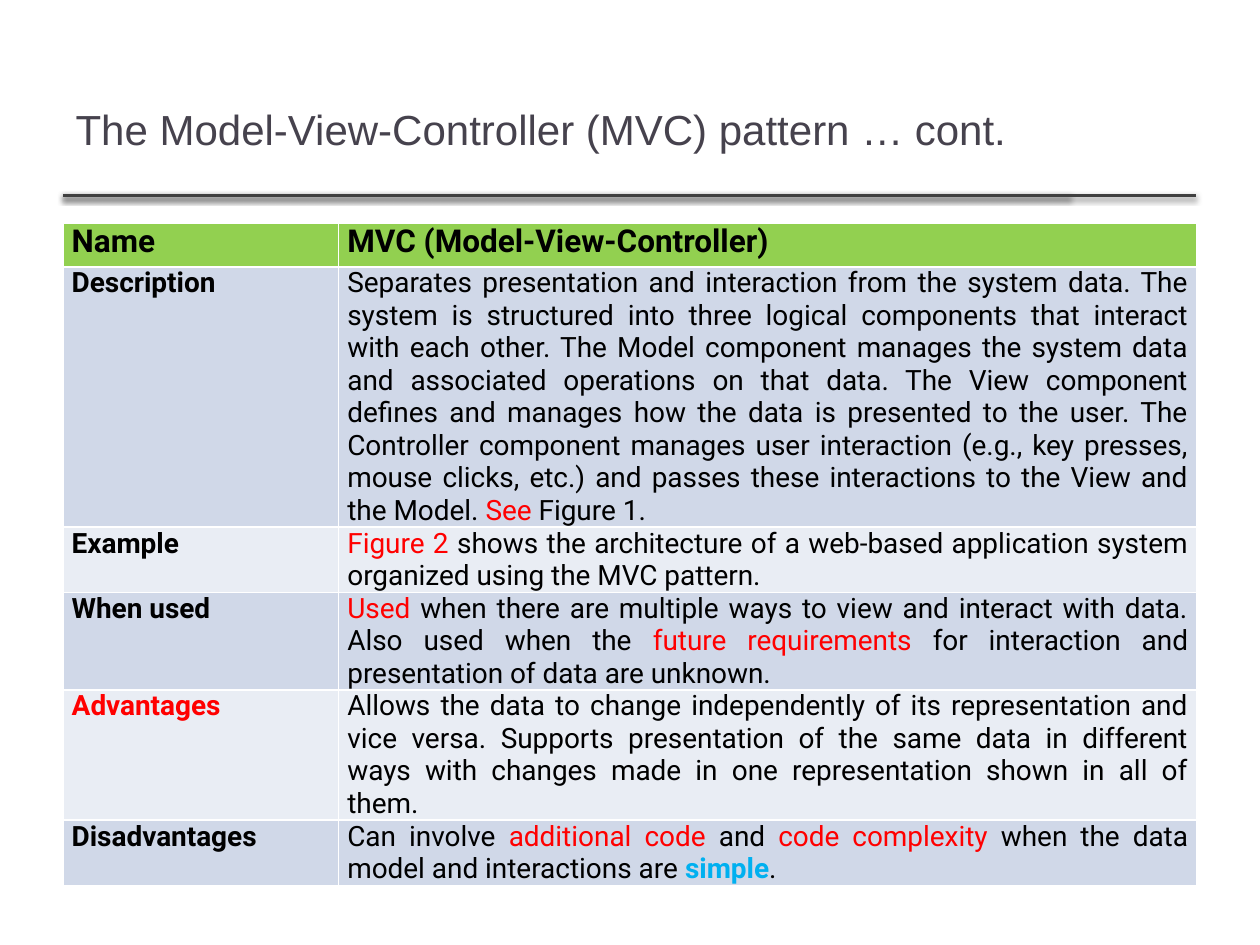
"""Build a slide with a table describing the Model-View-Controller pattern."""
from typing import NamedTuple

from lxml.etree import SubElement
from pptx import Presentation
from pptx.dml.color import RGBColor
from pptx.enum.shapes import MSO_CONNECTOR
from pptx.enum.text import MSO_ANCHOR, MSO_AUTO_SIZE, PP_ALIGN
from pptx.oxml.ns import qn
from pptx.util import Pt

COLORS = {
    "title": "46424D",
    "rule": "404040",
    "shadow": "000000",
    "header": "92D050",
    "odd_band": "D0D8E8",
    "even_band": "E9EDF4",
    "black": "000000",
    "red": "FF0000",
    "blue": "00B0F0",
}
TITLE = "The Model-View-Controller (MVC) pattern … cont."
TITLE_FORMAT = {"name": "Arial", "size": Pt(24), "bold": False}
HEADER_FORMAT = {"name": "Roboto", "size": Pt(18)}
BODY_FORMAT = {"name": "Roboto", "size": Pt(16)}
TITLE_BOX = {"left": Pt(36), "top": Pt(42.5), "width": Pt(574.5), "height": Pt(62)}
CELL_FORMAT = {"margin_left": Pt(5), "margin_right": Pt(5), "margin_top": 0, "margin_bottom": 0}
LEFT, RULE_TOP, TABLE_TOP, TABLE_HEIGHT = 36, 111.6, 127.5, 390
RULE_ENDS = (611.3, 683.3)
COLUMN_WIDTHS = (157.5, 490.5)


class Run(NamedTuple):
    """A piece of text with one colour and weight."""

    text: str
    color: str = "black"
    bold: bool = False


class Entry(NamedTuple):
    """A table row: its label, its content and its least height in points."""

    label: Run
    content: list[Run]
    height: float


ENTRIES = [
    Entry(Run("Name", bold=True), [Run("MVC (Model-View-Controller)", bold=True)], 25),
    Entry(Run("Description", bold=True), [
        Run("Separates presentation and interaction from the system data. The system is "
            "structured into three logical components that interact with each other. The Model "
            "component manages the system data and associated operations on that data. The View "
            "component defines and manages how the data is presented to the user. The Controller "
            "component manages user interaction (e.g., key presses, mouse clicks, etc.) and "
            "passes these interactions to the View and the Model. "),
        Run("See", "red"),
        Run(" Figure 1."),
    ], 122.5),
    Entry(Run("Example", bold=True), [
        Run("Figure 2 ", "red"),
        Run("shows the architecture of a web-based application system organized using the "
            "MVC pattern."),
    ], 35),
    Entry(Run("When used", bold=True), [
        Run("Used", "red"),
        Run(" when there are multiple ways to view and interact with data. Also used when the "),
        Run("future requirements", "red"),
        Run(" for interaction and presentation of data are unknown."),
    ], 52.5),
    Entry(Run("Advantages", "red", True), [
        Run("Allows the data to change independently of its representation and vice versa. "
            "Supports presentation of the same data in different ways with changes made in one "
            "representation shown in all of them."),
    ], 52.5),
    Entry(Run("Disadvantages", bold=True), [
        Run("Can involve "),
        Run("additional code ", "red"),
        Run("and "),
        Run("code complexity", "red"),
        Run(" when the data model and interactions are "),
        Run("simple", "blue", True),
        Run("."),
    ], 35),
]


def apply_format(target, values: dict) -> None:
    """Set every named attribute on the target."""
    for name, value in values.items():
        setattr(target, name, value)


def color_of(name: str) -> RGBColor:
    """Look up a named colour."""
    return RGBColor.from_string(COLORS[name])


def add_title(slide) -> None:
    """Place and fill the title placeholder."""
    title = slide.shapes.title
    apply_format(title, TITLE_BOX)
    frame = title.text_frame
    frame.text = TITLE
    frame.auto_size = MSO_AUTO_SIZE.NONE
    frame.vertical_anchor = MSO_ANCHOR.MIDDLE
    paragraph = frame.paragraphs[0]
    paragraph.alignment = PP_ALIGN.LEFT
    font = paragraph.runs[0].font
    apply_format(font, TITLE_FORMAT)
    font.color.rgb = color_of("title")


def add_rule(slide, end: float) -> None:
    """Draw a horizontal rule with a soft shadow below it."""
    rule = slide.shapes.add_connector(
        MSO_CONNECTOR.STRAIGHT, Pt(LEFT), Pt(RULE_TOP), Pt(end), Pt(RULE_TOP))
    rule.line.color.rgb = color_of("rule")
    rule.line.width = Pt(2)
    effects = SubElement(rule._element.spPr, qn("a:effectLst"))
    shadow = SubElement(effects, qn("a:outerShdw"), blurRad=str(Pt(3.1)), dist=str(Pt(1.6)),
                        dir="5400000", rotWithShape="0")
    color = SubElement(shadow, qn("a:srgbClr"), val=COLORS["shadow"])
    SubElement(color, qn("a:alpha"), val="38000")


def fill_cell(cell, runs: list[Run], band: str, text_format: dict) -> None:
    """Write justified runs into a cell and colour its background."""
    apply_format(cell, CELL_FORMAT)
    cell.fill.solid()
    cell.fill.fore_color.rgb = color_of(band)
    paragraph = cell.text_frame.paragraphs[0]
    paragraph.alignment = PP_ALIGN.JUSTIFY
    for item in runs:
        run = paragraph.add_run()
        run.text = item.text
        apply_format(run.font, text_format | {"bold": item.bold})
        run.font.color.rgb = color_of(item.color)


def add_pattern_table(slide) -> None:
    """Add the table that describes the pattern."""
    shape = slide.shapes.add_table(
        len(ENTRIES), len(COLUMN_WIDTHS), Pt(LEFT), Pt(TABLE_TOP),
        Pt(sum(COLUMN_WIDTHS)), Pt(TABLE_HEIGHT))
    table = shape.table
    for column, width in zip(table.columns, COLUMN_WIDTHS):
        column.width = Pt(width)
    for index, (row, entry) in enumerate(zip(table.rows, ENTRIES)):
        row.height = Pt(entry.height)
        band = "odd_band" if index % 2 else "even_band" if index else "header"
        text_format = BODY_FORMAT if index else HEADER_FORMAT
        for cell, runs in zip(row.cells, ([entry.label], entry.content)):
            fill_cell(cell, runs, band, text_format)
    shape.height = Pt(TABLE_HEIGHT)


def main() -> None:
    """Build and save the presentation."""
    presentation = Presentation()
    presentation.slide_width, presentation.slide_height = Pt(720), Pt(540)
    slide = presentation.slides.add_slide(presentation.slide_layouts.get_by_name("Title Only"))
    for end in RULE_ENDS:
        add_rule(slide, end)
    add_title(slide)
    add_pattern_table(slide)
    presentation.save("out.pptx")


if __name__ == "__main__":
    main()
